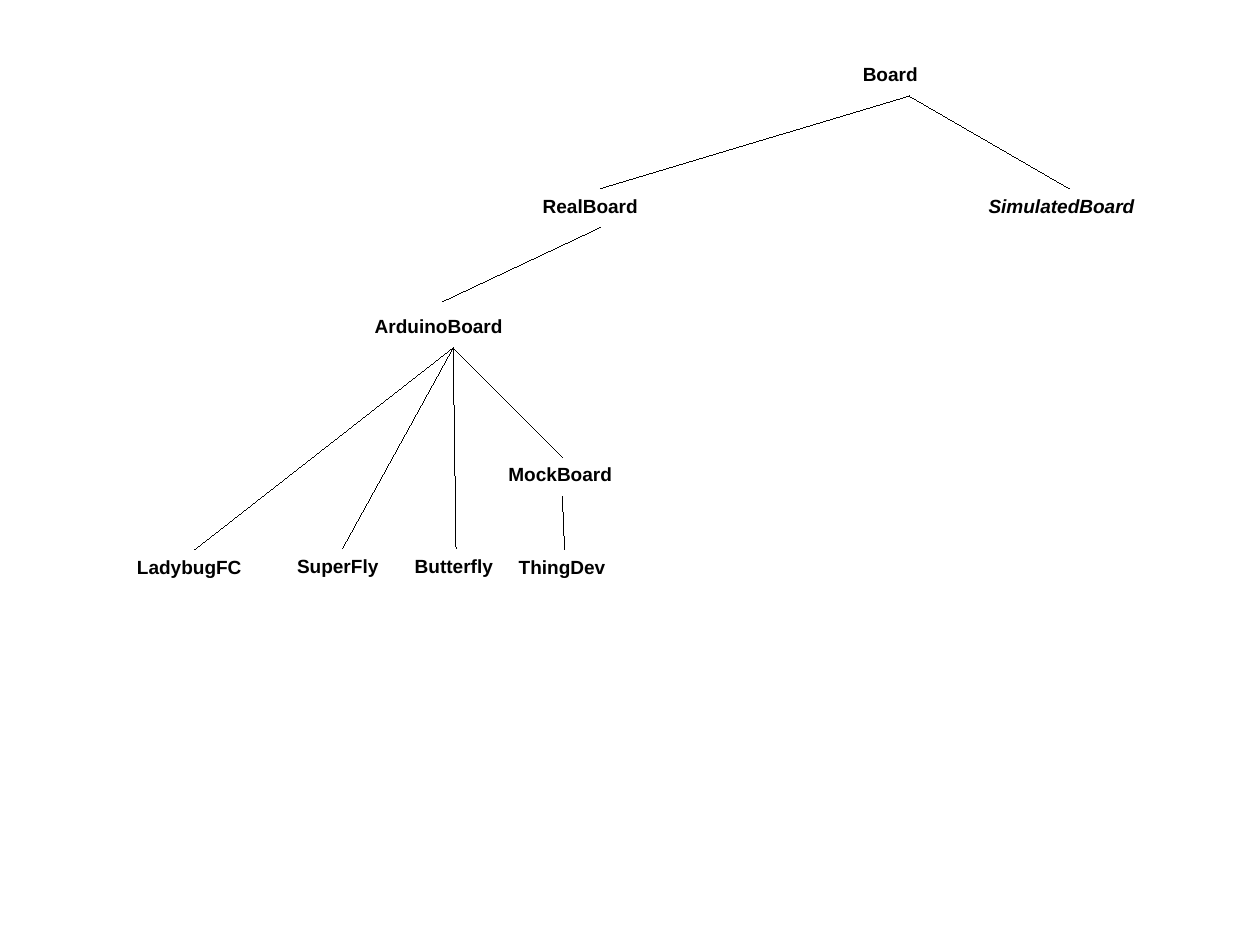
from pptx import Presentation
from pptx.dml.color import RGBColor
from pptx.enum.shapes import MSO_CONNECTOR
from pptx.oxml.xmlchemy import OxmlElement
from pptx.util import Cm, Inches, Pt

# Grid: one column or row is a tenth of an inch
GRID = Inches(0.1)
LABEL_ROWS = 3.4
COLORS = {"ink": "000000"}
LABEL_FONT = {"name": "Arial", "size": Pt(12), "bold": True, "italic": False}

# Class: (left column, top row, width in columns)
CLASSES = {
    "Board": (74.5, 5, 10.1),
    "RealBoard": (46.5, 16.5, 12),
    "SimulatedBoard": (85.5, 16.5, 16.1),
    "ArduinoBoard": (31.8, 27, 15.7),
    "MockBoard": (43.5, 40, 11.4),
    "LadybugFC": (11, 48.1, 12),
    "SuperFly": (25, 48, 9.9),
    "Butterfly": (35.3, 48, 9.2),
    "ThingDev": (44.4, 48.1, 10),
}
SUBCLASSES = {
    "Board": ["RealBoard", "SimulatedBoard"],
    "RealBoard": ["ArduinoBoard"],
    "ArduinoBoard": ["LadybugFC", "SuperFly", "Butterfly", "MockBoard"],
    "MockBoard": ["ThingDev"],
}
ITALIC_CLASSES = {"SimulatedBoard"}
# Branches that stop away from the top centre of their class
BRANCH_ENDS = {"ArduinoBoard": (38.7, 26.4)}


def grid(*counts):
    return [round(count * GRID) for count in counts]


def top_centre(name):
    left, top, width = CLASSES[name]
    return left + width / 2, top


def bottom_centre(name):
    column, top = top_centre(name)
    return column, top + LABEL_ROWS


def add_label(slide, name):
    left, top, width = CLASSES[name]
    label = slide.shapes.add_textbox(*grid(left, top, width, LABEL_ROWS))
    label.text_frame.word_wrap = True
    run = label.text_frame.paragraphs[0].add_run()
    run.text = name
    label_format = {**LABEL_FONT, "italic": name in ITALIC_CLASSES}
    for attribute, value in label_format.items():
        setattr(run.font, attribute, value)
    run.font.color.rgb = RGBColor.from_string(COLORS["ink"])


def add_branch(slide, parent, child):
    start = bottom_centre(parent)
    end = BRANCH_ENDS.get(child, top_centre(child))
    branch = slide.shapes.add_connector(
        MSO_CONNECTOR.STRAIGHT, *grid(*start, *end))
    branch.line.color.rgb = RGBColor.from_string(COLORS["ink"])
    properties = branch._element.spPr
    # Hairline: a zero width has to be written out to override the theme
    properties.get_or_add_ln().set("w", "0")
    properties.append(OxmlElement("a:effectLst"))


def main():
    deck = Presentation()
    deck.slide_width = Cm(28)
    deck.slide_height = Cm(21)
    slide = deck.slides.add_slide(deck.slide_layouts[6])

    # Class names
    for name in CLASSES:
        add_label(slide, name)

    # Inheritance branches
    for parent, children in SUBCLASSES.items():
        for child in children:
            add_branch(slide, parent, child)

    deck.save("out.pptx")


main()
